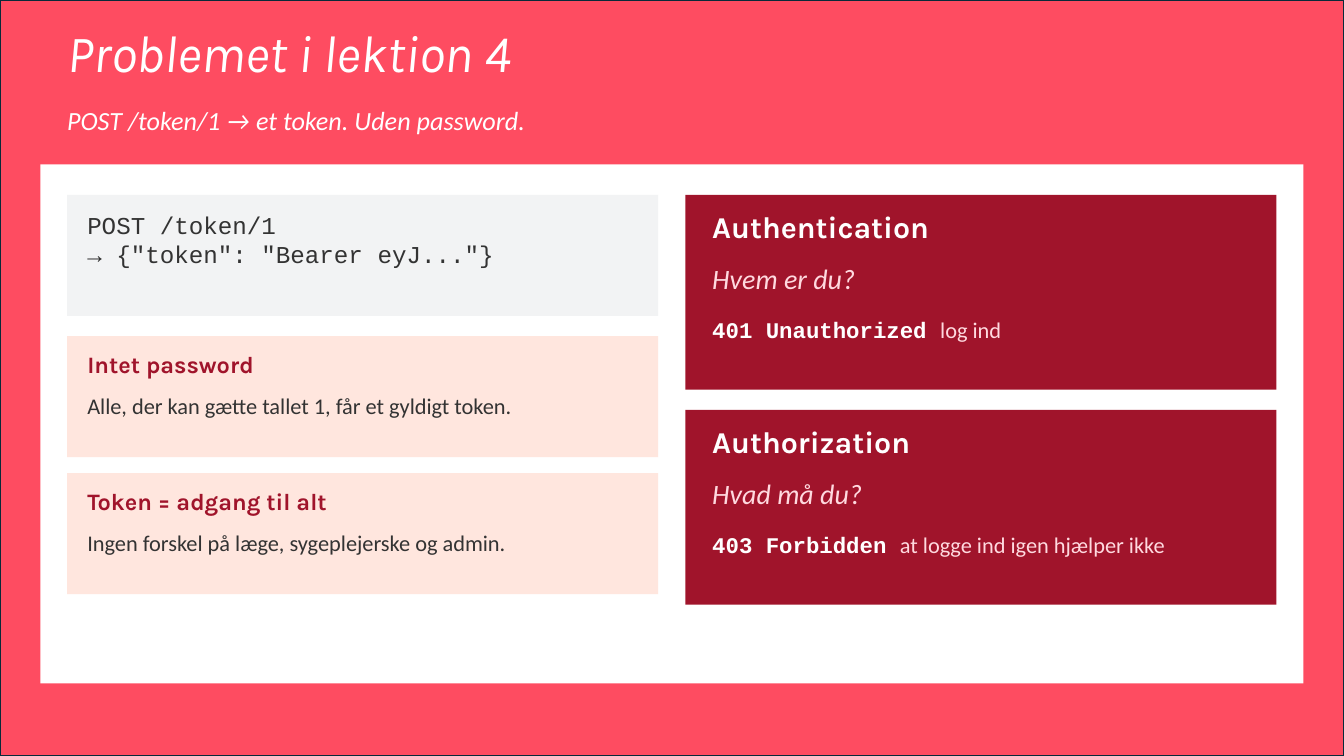
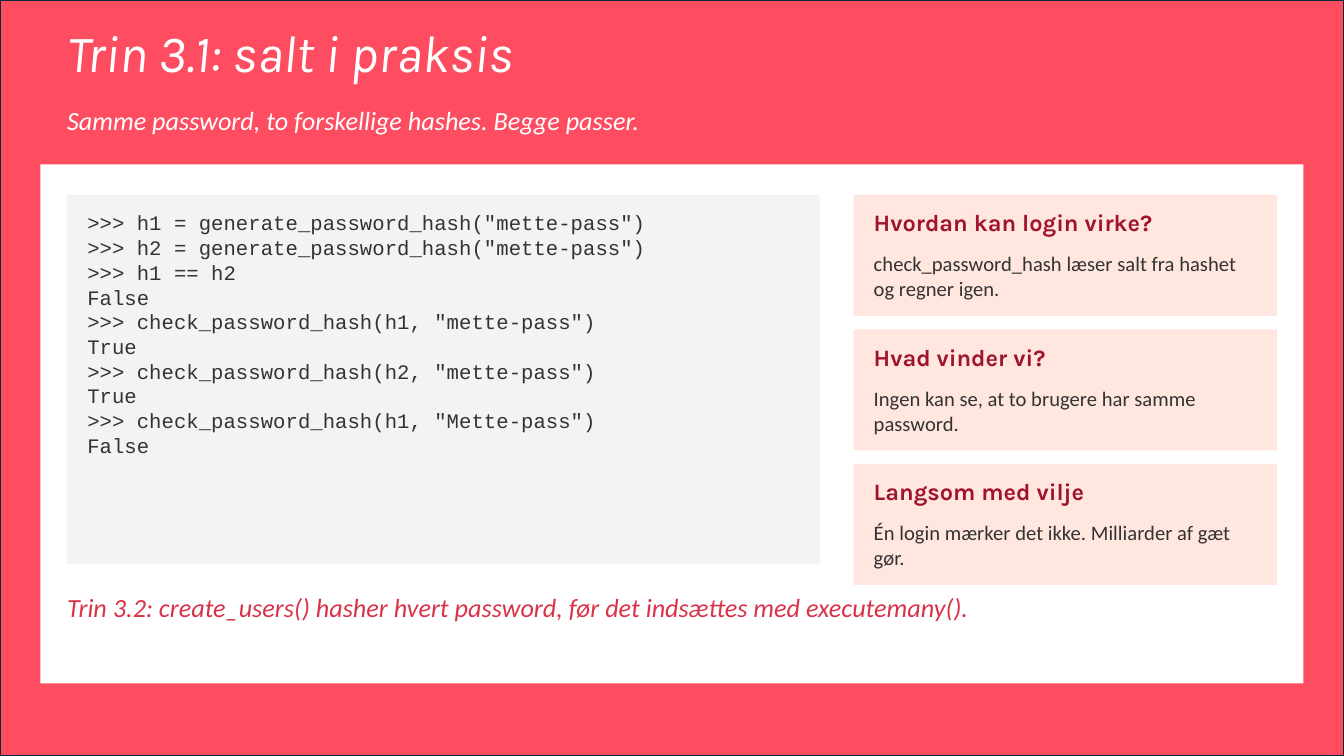
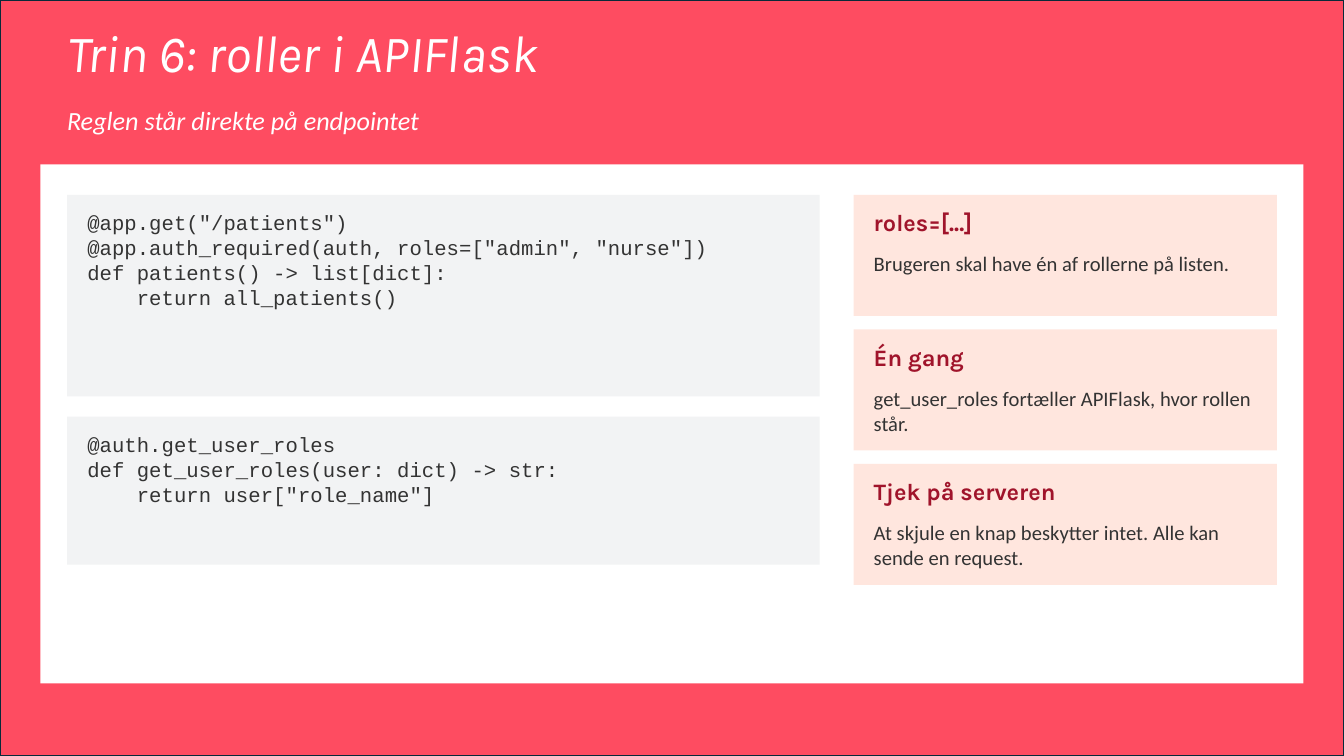
from dataclasses import dataclass

from pptx import Presentation
from pptx.dml.color import RGBColor
from pptx.enum.shapes import MSO_SHAPE
from pptx.enum.text import MSO_ANCHOR, MSO_AUTO_SIZE, PP_ALIGN
from pptx.util import Cm, Pt

CORAL, NAVY, WHITE = "FE4C61", "092A39", "FFFFFF"
CRIMSON, ROSE, BLUSH, PEACH = "A0142B", "D93349", "FFD9DF", "FFE6DE"
GREY, INK = "F2F3F4", "333333"
HEAD, BODY, MONO = "Karla", "Calibri", "Courier New"

SLIDE_W, SLIDE_H = 33.87, 19.05
LEFT, TOP, FULL_W = 1.69, 4.91, 30.48
HALF_W, HALF_X = 14.9, 17.27
CODE_W, SIDE_X, SIDE_W = 18.97, 21.51, 10.67
NOTE_H, NOTE_STEP = 3.05, 3.39
PAD, CARD_PAD = 0.51, 0.68


@dataclass(frozen=True)
class Style:
    font: str
    size: float
    color: str
    bold: bool = False
    italic: bool = False


@dataclass(frozen=True)
class Note:
    head: str
    body: str


@dataclass(frozen=True)
class Card:
    term: str
    question: str
    status: str
    advice: str


TITLE = Style(HEAD, 37.3, WHITE, italic=True)
SUBTITLE = Style(BODY, 18.7, WHITE, italic=True)
FOOTNOTE = Style(BODY, 18.7, ROSE, italic=True)
NOTE_HEAD = Style(HEAD, 16.8, CRIMSON, bold=True)
TERM = Style(HEAD, 21.6, WHITE, bold=True)
QUESTION = Style(BODY, 20, BLUSH, italic=True)
STATUS = Style(MONO, 16, WHITE, bold=True)
ADVICE = Style(BODY, 16, BLUSH)


def rgb(color: str) -> RGBColor:
    return RGBColor.from_string(color)


def set_font(font, style: Style) -> None:
    font.name, font.size = style.font, Pt(style.size)
    font.bold, font.italic = style.bold, style.italic
    font.color.rgb = rgb(style.color)


def add_rect(s, x: float, y: float, w: float, h: float, fill: str):
    sp = s.shapes.add_shape(MSO_SHAPE.RECTANGLE, Cm(x), Cm(y), Cm(w), Cm(h))
    sp.shadow.inherit = False
    sp.fill.solid()
    sp.fill.fore_color.rgb = rgb(fill)
    sp.line.fill.background()
    return sp


def clear_insets(tf) -> None:
    tf.margin_left = tf.margin_top = tf.margin_right = tf.margin_bottom = 0
    tf.vertical_anchor = MSO_ANCHOR.TOP
    tf.word_wrap = True


def add_box(s, x: float, y: float, w: float, h: float):
    tf = s.shapes.add_textbox(Cm(x), Cm(y), Cm(w), Cm(h)).text_frame
    clear_insets(tf)
    tf.auto_size = MSO_AUTO_SIZE.SHAPE_TO_FIT_TEXT
    return tf


def add_text(s, x: float, y: float, w: float, h: float, text: str, style: Style) -> None:
    tf = add_box(s, x, y, w, h)
    tf.text = text
    for p in tf.paragraphs:
        set_font(p.font, style)


def add_code(s, y: float, w: float, h: float, code: str, size: float = 14.7) -> None:
    add_rect(s, LEFT, y, w, h, GREY)
    add_text(s, LEFT + PAD, y + 0.39, w - 2 * PAD, h - 0.69, code, Style(MONO, size, INK))


def add_notes(s, x: float, y: float, w: float, notes: list[Note],
              step: float = NOTE_STEP, size: float = 14.7) -> None:
    for i, note in enumerate(notes):
        top, text_w = y + i * step, w - 2 * PAD
        add_rect(s, x, top, w, NOTE_H, PEACH)
        add_text(s, x + PAD, top + 0.34, text_w, 1.02, note.head, NOTE_HEAD)
        add_text(s, x + PAD, top + 1.42, text_w, 1.42, note.body, Style(BODY, size, INK))


def add_card(s, y: float, card: Card) -> None:
    add_rect(s, HALF_X, y, HALF_W, 4.91, CRIMSON)
    x, w = HALF_X + CARD_PAD, HALF_W - 2 * CARD_PAD
    add_text(s, x, y + 0.34, w, 1.35, card.term, TERM)
    add_text(s, x, y + 1.69, w, 1.19, card.question, QUESTION)
    p = add_box(s, x, y + 3.05, w, 1.35).paragraphs[0]
    for text, style in ((card.status + " ", STATUS), (card.advice, ADVICE)):
        r = p.add_run()
        r.text = text
        set_font(r.font, style)


def dress_layout(s) -> None:
    frame = add_rect(s, 0, 0, SLIDE_W, SLIDE_H, CORAL)
    frame.line.color.rgb = rgb(NAVY)
    frame.line.width = Pt(1.5)
    panel = add_rect(s, 1.02, 4.14, 31.83, 13.08, WHITE)
    tree = s.slide_layout.shapes._spTree
    for i, sp in enumerate((frame, panel)):
        sp._element.nvSpPr.cNvPr.set("id", str(101 + i))
        tree.insert(2 + i, sp._element)


def add_slide(prs, title: str, subtitle: str):
    s = prs.slides.add_slide(prs.slide_layouts[5])
    if len(prs.slides) == 1:
        dress_layout(s)
    sp = s.shapes.title
    sp.left, sp.top, sp.width, sp.height = Cm(LEFT), Cm(0.68), Cm(FULL_W), Cm(1.86)
    tf = sp.text_frame
    clear_insets(tf)
    tf.auto_size = MSO_AUTO_SIZE.NONE
    tf.text = title
    p = tf.paragraphs[0]
    p.alignment, p.line_spacing = PP_ALIGN.LEFT, 0.9
    set_font(p.font, TITLE)
    add_text(s, LEFT, 2.64, FULL_W, 1.19, subtitle, SUBTITLE)
    return s


def problem_slide(prs) -> None:
    s = add_slide(prs, "Problemet i lektion 4", "POST /token/1 → et token. Uden password.")
    add_code(s, TOP, HALF_W, NOTE_H, 'POST /token/1\n→ {"token": "Bearer eyJ..."}', 17.3)
    add_notes(s, LEFT, 8.47, HALF_W, [
        Note("Intet password", "Alle, der kan gætte tallet 1, får et gyldigt token."),
        Note("Token = adgang til alt", "Ingen forskel på læge, sygeplejerske og admin."),
    ], step=3.45, size=16)
    cards = [
        Card("Authentication", "Hvem er du?", "401 Unauthorized", "log ind"),
        Card("Authorization", "Hvad må du?", "403 Forbidden", "at logge ind igen hjælper ikke"),
    ]
    for i, card in enumerate(cards):
        add_card(s, TOP + i * 5.42, card)


def salt_slide(prs) -> None:
    s = add_slide(prs, "Trin 3.1: salt i praksis",
                  "Samme password, to forskellige hashes. Begge passer.")
    add_code(s, TOP, CODE_W, 9.31, """>>> h1 = generate_password_hash("mette-pass")
>>> h2 = generate_password_hash("mette-pass")
>>> h1 == h2
False
>>> check_password_hash(h1, "mette-pass")
True
>>> check_password_hash(h2, "mette-pass")
True
>>> check_password_hash(h1, "Mette-pass")
False""")
    add_notes(s, SIDE_X, TOP, SIDE_W, [
        Note("Hvordan kan login virke?",
             "check_password_hash læser salt fra hashet og regner igen."),
        Note("Hvad vinder vi?", "Ingen kan se, at to brugere har samme password."),
        Note("Langsom med vilje", "Én login mærker det ikke. Milliarder af gæt gør."),
    ])
    add_text(s, LEFT, 14.9, FULL_W, 2.03,
             "Trin 3.2: create_users() hasher hvert password, "
             "før det indsættes med executemany().", FOOTNOTE)


def roles_slide(prs) -> None:
    s = add_slide(prs, "Trin 6: roller i APIFlask", "Reglen står direkte på endpointet")
    add_code(s, TOP, CODE_W, 5.08, """@app.get("/patients")
@app.auth_required(auth, roles=["admin", "nurse"])
def patients() -> list[dict]:
    return all_patients()""")
    add_code(s, 10.5, CODE_W, 3.73, """@auth.get_user_roles
def get_user_roles(user: dict) -> str:
    return user["role_name"]""")
    add_notes(s, SIDE_X, TOP, SIDE_W, [
        Note("roles=[...]", "Brugeren skal have én af rollerne på listen."),
        Note("Én gang", "get_user_roles fortæller APIFlask, hvor rollen står."),
        Note("Tjek på serveren",
             "At skjule en knap beskytter intet. Alle kan sende en request."),
    ])


def main() -> None:
    prs = Presentation()
    prs.slide_width, prs.slide_height = Cm(SLIDE_W), Cm(SLIDE_H)
    problem_slide(prs)
    salt_slide(prs)
    roles_slide(prs)
    prs.save("out.pptx")


if __name__ == "__main__":
    main()
